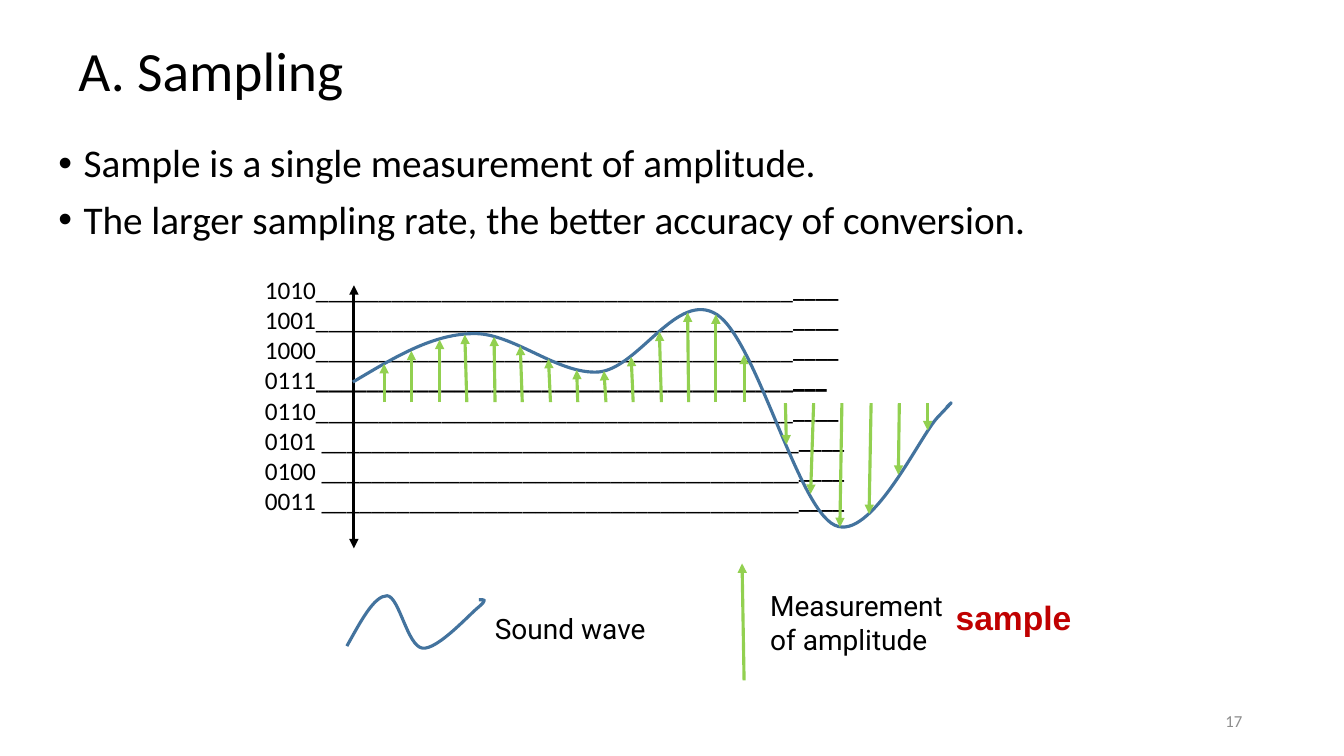
from pptx import Presentation
from pptx import util as u
from pptx.dml.color import RGBColor
from pptx.enum import shapes, text
from pptx.oxml.ns import qn
from lxml import etree

PX = 9144
COLORS = {"ink": "000000", "number": "8C8C8C", "wave": "43739E",
          "sample": "92D050", "accent": "C00000"}
LEVELS = ["1010", "1001", "1000", "0111", "0110", "0101 ", "0100 ", "0011 "]
UP_TIPS = [(381, 361), (408, 348), (436, 337), (461, 332), (490, 334),
           (516, 343), (544, 356), (572, 367), (599, 368), (626, 354),
           (654, 329), (682, 310), (710, 312), (738, 352)]
DOWN_TIPS = [(780, 441), (804, 490), (833, 523), (862, 510), (891, 471), (920, 427)]
SOUND_WAVE = [(350, 379),
              (389, 356), (427, 332), (468, 331), (508, 329), (553, 372), (594, 369),
              (634, 365), (672, 287), (711, 312), (750, 337), (791, 504), (828, 521),
              (864, 538), (912, 433), (930, 414), (949, 394), (944, 399), (939, 404)]
LEGEND_WAVE = [(344, 641),
               (358, 616), (371, 591), (384, 591), (396, 592), (404, 641), (419, 643),
               (434, 645), (466, 609), (475, 602), (484, 594), (480, 595), (475, 595)]


def px(value):
    """Turn px into EMU."""
    return u.Emu(round(value * PX))


def rgb(name):
    """Look up a named colour."""
    return RGBColor.from_string(COLORS[name])


def add_bullet(paragraph):
    """Give a paragraph a hanging bullet."""
    properties = paragraph._p.get_or_add_pPr()
    properties.set("marL", str(px(25)))
    properties.set("indent", str(-px(25)))
    etree.SubElement(properties, qn("a:buFont"), typeface="Arial")
    etree.SubElement(properties, qn("a:buChar"), char="•")


def add_text(canvas, box, lines, size=18, font="Calibri", color="ink", bold=False,
             align=None, anchor=text.MSO_ANCHOR.TOP, spacing=None, before=0, bullet=False):
    """Add a text box; each line is a string or a list of (text, overrides) runs."""
    frame = canvas.add_textbox(*map(px, box)).text_frame
    frame.word_wrap = True
    frame.vertical_anchor = anchor
    for index, line in enumerate(lines):
        paragraph = frame.add_paragraph() if index else frame.paragraphs[0]
        if bullet:
            add_bullet(paragraph)
        paragraph.alignment = align
        paragraph.line_spacing = spacing
        paragraph.space_before = u.Pt(before if index else 0)
        for content, overrides in [(line, {})] if isinstance(line, str) else line:
            run = paragraph.add_run()
            run.text = content
            run.font.size = u.Pt(size)
            run.font.name = overrides.get("font", font)
            run.font.bold = overrides.get("bold", bold)
            run.font.color.rgb = rgb(color)


def add_arrow(canvas, start, end, color, both=False):
    """Add a straight arrow pointing at its end, or at both ends."""
    arrow = canvas.add_connector(shapes.MSO_CONNECTOR.STRAIGHT, *map(px, start + end))
    arrow.line.color.rgb = rgb(color)
    arrow.line.width = u.Pt(2.25)
    line = arrow.line._get_or_add_ln()
    for tag in ["a:headEnd", "a:tailEnd"] if both else ["a:tailEnd"]:
        etree.SubElement(line, qn(tag), type="triangle")
    etree.SubElement(arrow._element.spPr, qn("a:effectLst"))


def curve_points(points, steps=16):
    """List points along a chain of cubic curves, to measure its extent."""
    result = []
    for first in range(0, len(points) - 1, 3):
        corners = points[first:first + 4]
        for step in range(1, steps + 1):
            t = step / steps
            weights = ((1 - t) ** 3, 3 * t * (1 - t) ** 2, 3 * t * t * (1 - t), t ** 3)
            result.append(tuple(px(sum(w * corner[axis] for w, corner in zip(weights, corners)))
                                for axis in (0, 1)))
    return result


def add_wave(canvas, points):
    """Add an open chain of cubic curves through the given control points."""
    builder = canvas.build_freeform(*map(px, points[0]))
    builder.add_line_segments(curve_points(points), close=False)
    wave = builder.convert_to_shape()
    outline = wave._element.spPr.find(".//" + qn("a:path"))
    for segment in outline.findall(qn("a:lnTo")):
        outline.remove(segment)
    for first in range(1, len(points), 3):
        curve = etree.SubElement(outline, qn("a:cubicBezTo"))
        for x, y in points[first:first + 3]:
            etree.SubElement(curve, qn("a:pt"), x=str(px(x) - wave.left), y=str(px(y) - wave.top))
    wave.shadow.inherit = False
    wave.fill.background()
    wave.line.color.rgb = rgb("wave")
    wave.line.width = u.Pt(2.25)


def level_line(label):
    """Build the runs of one amplitude level."""
    bold = label == "0111"
    return [(label, {}), ("_" * 38, {"bold": bold}),
            ("_" * (3 if bold else 4), {"font": "Roboto", "bold": bold})]


def add_samples(canvas, tips, left, step, base):
    """Add evenly spaced arrows from the base line to the wave."""
    for index, tip in enumerate(tips):
        add_arrow(canvas, (round(left + step * index), base), tip, "sample")


def add_diagram(canvas):
    """Add the sampled wave with its levels and legend."""
    add_text(canvas, (253, 267, 743, 450), [level_line(label) for label in LEVELS])
    add_arrow(canvas, (351, 283), (351, 544), "ink", both=True)
    add_wave(canvas, SOUND_WAVE)
    add_samples(canvas, UP_TIPS, 381, 27.45, 399)
    add_samples(canvas, DOWN_TIPS, 779, 28.2, 400)
    add_wave(canvas, LEGEND_WAVE)
    add_text(canvas, (481, 602, 316, 72), ["Sound wave"], size=20, font="Roboto")
    add_arrow(canvas, (738, 675), (736, 559), "sample")
    add_text(canvas, (754, 579, 278, 96), ["Measurement", "of amplitude"],
             size=20, font="Roboto")


def main():
    """Build the slide and save it."""
    presentation = Presentation()
    presentation.slide_width, presentation.slide_height = px(1333), px(750)
    slide = presentation.slides.add_slide(presentation.slide_layouts[6])
    canvas = slide.shapes
    middle = text.MSO_ANCHOR.MIDDLE

    add_text(canvas, (68, 37, 1150, 72), ["A. Sampling"], size=39.6, anchor=middle, spacing=0.9)
    add_text(canvas, (48, 138, 1255, 476),
             ["Sample is a single measurement of amplitude.",
              "The larger sampling rate, the better accuracy of conversion."],
             size=28, spacing=0.9, before=10, bullet=True)
    add_text(canvas, (942, 695, 300, 40), ["17"], size=12, color="number",
             align=text.PP_ALIGN.RIGHT, anchor=middle)
    add_diagram(canvas.add_group_shape().shapes)
    add_text(canvas, (938, 587, 153, 50), ["sample"], size=24, font="Arial",
             color="accent", bold=True)
    presentation.save("out.pptx")


if __name__ == "__main__":
    main()
